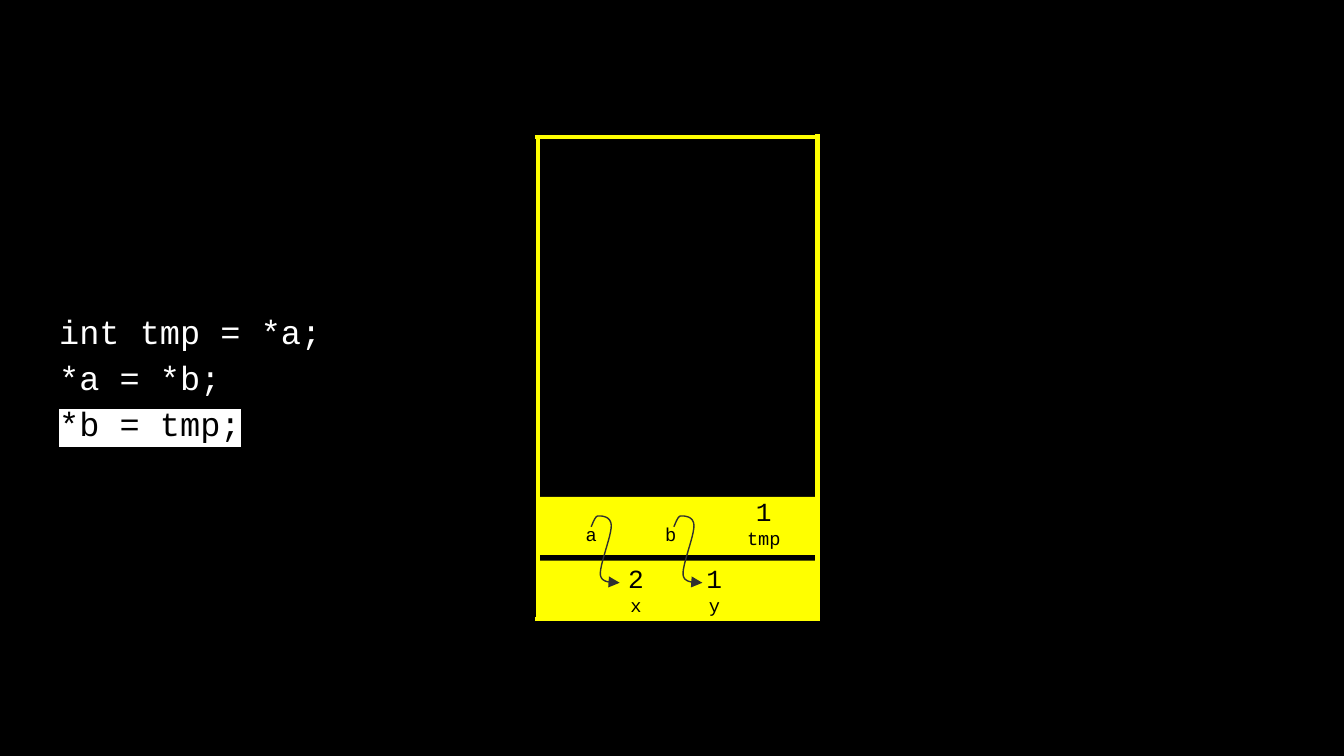
import pptx
import pptx.dml.color
import pptx.enum.shapes
import pptx.enum.text
import pptx.oxml.ns
import pptx.util
from lxml import etree

Pt = pptx.util.Pt
qn = pptx.oxml.ns.qn
YELLOW, BLACK, WHITE, GREY = "FFFF00", "000000", "FFFFFF", "303030"


def rgb(value):
    return pptx.dml.color.RGBColor.from_string(value)


class Deck:
    font = "Courier New"
    inset = 7.2

    def __init__(self, width, height, background):
        self.prs = pptx.Presentation()
        self.prs.slide_width, self.prs.slide_height = Pt(width), Pt(height)
        self.s = self.prs.slides.add_slide(self.prs.slide_layouts[6])
        fill = self.s.background.fill
        fill.solid()
        fill.fore_color.rgb = rgb(background)

    def line(self, x1, y1, x2, y2, color):
        sp = self.s.shapes.add_connector(
            pptx.enum.shapes.MSO_CONNECTOR.STRAIGHT, Pt(x1), Pt(y1), Pt(x2), Pt(y2))
        sp.line.color.rgb = rgb(color)
        sp.line.width = Pt(2.25)
        etree.SubElement(sp._element.spPr, qn("a:effectLst"))

    def rect(self, x, y, w, h, color):
        sp = self.s.shapes.add_shape(
            pptx.enum.shapes.MSO_SHAPE.RECTANGLE, Pt(x), Pt(y), Pt(w), Pt(h))
        sp.shadow.inherit = False
        sp.fill.solid()
        sp.fill.fore_color.rgb = rgb(color)
        sp.line.fill.background()

    def text(self, x, y, w, h, lines, align="LEFT", anchor="TOP", spacing=1.0):
        """Each line is (text, size, colour, highlight or None)."""
        sp = self.s.shapes.add_textbox(Pt(x), Pt(y), Pt(w), Pt(h))
        tf = sp.text_frame
        tf.word_wrap = True
        tf.vertical_anchor = pptx.enum.text.MSO_ANCHOR[anchor]
        tf.margin_left = tf.margin_right = Pt(self.inset)
        tf.margin_top = tf.margin_bottom = Pt(self.inset)
        for i, (text, size, color, highlight) in enumerate(lines):
            p = tf.add_paragraph() if i else tf.paragraphs[0]
            p.alignment = pptx.enum.text.PP_ALIGN[align]
            p.line_spacing = spacing
            r = p.add_run()
            r.text = text
            r.font.size, r.font.name = Pt(size), self.font
            r.font.color.rgb = rgb(color)
            if highlight:
                mark = etree.Element(qn("a:highlight"))
                etree.SubElement(mark, qn("a:srgbClr"), val=highlight)
                r.font._element.find(qn("a:latin")).addprevious(mark)

    def curve_arrow(self, x, y, curves, color, steps=12):
        """Bezier curves, as offsets from (x, y), drawn as one fine polyline."""
        points, start = [], (0, 0)
        for c1, c2, end in curves:
            for t in (n / steps for n in range(1, steps + 1)):
                u = 1 - t
                dx, dy = (u**3 * a + 3 * u * u * t * b + 3 * u * t * t * c + t**3 * d
                          for a, b, c, d in zip(start, c1, c2, end))
                points.append((Pt(x + dx), Pt(y + dy)))
            start = end
        builder = self.s.shapes.build_freeform(Pt(x), Pt(y))
        builder.add_line_segments(points, close=False)
        sp = builder.convert_to_shape()
        sp.shadow.inherit = False
        sp.fill.background()
        sp.line.color.rgb = rgb(color)
        sp.line.width = Pt(0.75)
        ln = sp._element.spPr.find(qn("a:ln"))
        etree.SubElement(ln, qn("a:tailEnd"), type="triangle")


def main():
    deck = Deck(720, 405, BLACK)

    # Stack outline and frame separators
    left, right, top, bottom = 288, 438, 73.4, 331.5
    for y in (267.1, 298.8):
        deck.line(left - 1.4, y, right + 1.2, y, BLACK)
    for x, y in ((right, 72), (left, 72.7)):
        deck.line(x, y, x, y + 259.2, YELLOW)
    for y in (top, bottom):
        deck.line(left - 1.4, y, right + 1.2, y, YELLOW)

    # Stack frames: main below, swap above
    frame_w, frame_h = 149.8, 31
    deck.rect(left, 300.4, frame_w, frame_h, YELLOW)
    deck.rect(left + 0.5, 266.3, frame_w, frame_h, YELLOW)

    # Variables: value above name; pointers show the name alone, on the same row
    swap_y, main_y, box_h, value_h = 258.2, 294.2, 42, 16
    for x, y, w, value, name in (
            (305.2, swap_y, 23, None, "a"), (347.8, swap_y, 23, None, "b"),
            (392.2, swap_y, 34, "1", "tmp"),
            (329.2, main_y, 23, "2", "x"), (371.2, main_y, 23, "1", "y")):
        lines = [(name, 10, BLACK, None)]
        drop = value_h
        if value:
            lines.insert(0, (value, 14, BLACK, None))
            drop = 0
        deck.text(x, y + drop, w, box_h - drop, lines, align="CENTER")

    # Pointer arrows from a to x and from b to y
    hook = [((0.7, -1), (2, -5.8), (3.8, -5.8)),
            ((5.6, -5.8), (10.6, -5.8), (10.8, -0.7)),
            ((11.1, 4.5), (4.3, 20.9), (5, 25.9)),
            ((5.8, 31), (13.5, 29.4), (15.3, 30))]
    for x in (316.7, 361):
        deck.curve_arrow(x, 282.2, hook, GREY)

    # Code with the current statement highlighted
    deck.text(24.6, 90.2, 671, 220.4,
              [("int tmp = *a;", 18, WHITE, None),
               ("*a = *b;", 18, WHITE, None),
               ("*b = tmp;", 18, BLACK, WHITE)],
              anchor="MIDDLE", spacing=1.15)

    deck.prs.save("out.pptx")


if __name__ == "__main__":
    main()
